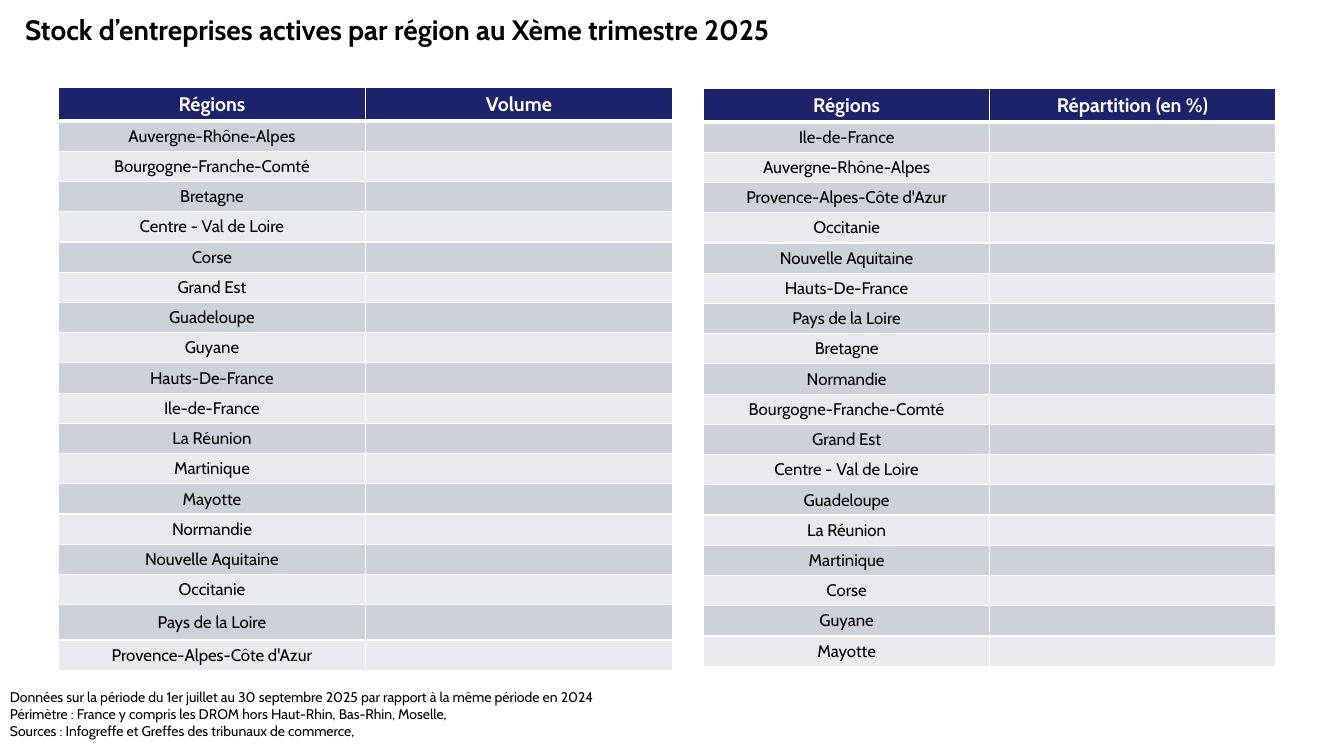
from lxml import etree
from pptx import Presentation
from pptx.dml.color import RGBColor
from pptx.enum.text import MSO_ANCHOR as Anchor, PP_ALIGN as Align
from pptx.oxml.ns import qn
from pptx.util import Inches, Pt

NAVY, WHITE, BLACK = "1C236B", "FFFFFF", "000000"
BANDS = ["CCD2D8", "E8EAED"]


def color(value):
    return RGBColor.from_string(value)


def style(font, size, fill=BLACK, bold=False):
    formats = {"name": "Cabin", "size": Pt(size), "bold": bold}
    for name, value in formats.items():
        setattr(font, name, value)
    font.color.rgb = color(fill)


presentation = Presentation()
presentation.slide_width = Inches(13.33)
presentation.slide_height = Inches(7.5)
slide = presentation.slides.add_slide(presentation.slide_layouts[6])

# Title and footnote
title = ["Stock d’entreprises actives par région au Xème trimestre 2025"]
footnote = [
    "Données sur la période du 1er juillet au 30 septembre 2025 par rapport à la même période en 2024",
    "Périmètre : France y compris les DROM hors Haut-Rhin, Bas-Rhin, Moselle,",
    "Sources : Infogreffe et Greffes des tribunaux de commerce,",
]
text_boxes = [
    (title, (0.15, 0.11, 11.02, 0.41), 20, True, 0.9),
    (footnote, (0, 6.78, 9.73, 0.61), 10, False, 1.0),
]
for lines, place, size, bold, spacing in text_boxes:
    frame = slide.shapes.add_textbox(*map(Inches, place)).text_frame
    frame.word_wrap = True
    for index, line in enumerate(lines):
        paragraph = frame.paragraphs[0] if index == 0 else frame.add_paragraph()
        paragraph.line_spacing = spacing
        run = paragraph.add_run()
        run.text = line
        style(run.font, size, bold=bold)

# Regions in alphabetical order, then by share
regions_by_name = [
    "Auvergne-Rhône-Alpes", "Bourgogne-Franche-Comté", "Bretagne",
    "Centre - Val de Loire", "Corse", "Grand Est", "Guadeloupe", "Guyane",
    "Hauts-De-France", "Ile-de-France", "La Réunion", "Martinique", "Mayotte",
    "Normandie", "Nouvelle Aquitaine", "Occitanie", "Pays de la Loire",
    "Provence-Alpes-Côte d'Azur",
]
regions_by_share = [
    "Ile-de-France", "Auvergne-Rhône-Alpes", "Provence-Alpes-Côte d'Azur",
    "Occitanie", "Nouvelle Aquitaine", "Hauts-De-France", "Pays de la Loire",
    "Bretagne", "Normandie", "Bourgogne-Franche-Comté", "Grand Est",
    "Centre - Val de Loire", "Guadeloupe", "La Réunion", "Martinique",
    "Corse", "Guyane", "Mayotte",
]
HEADER_HEIGHT, ROW_HEIGHT = 0.33, 0.3
heights = [HEADER_HEIGHT] + [ROW_HEIGHT] * len(regions_by_name)
volume_heights = heights.copy()
volume_heights[-2] = 0.35

# Tables
tables = [
    ("Volume", regions_by_name, volume_heights, 0.58, 0.87, 6.09),
    ("Répartition (en %)", regions_by_share, heights, 6.98, 0.88, 5.67),
]
for measure, regions, row_heights, left, top, width in tables:
    rows = [("Régions", measure)] + [(region, "") for region in regions]
    table = slide.shapes.add_table(
        len(rows), 2, Inches(left), Inches(top), Inches(width), Inches(sum(row_heights))
    ).table
    for column in table.columns:
        column.width = Inches(width / 2)
    for row_index, texts in enumerate(rows):
        table.rows[row_index].height = Inches(row_heights[row_index])
        header = row_index == 0
        size = 14 if header else 12
        for column_index, text in enumerate(texts):
            cell = table.cell(row_index, column_index)
            cell.vertical_anchor = Anchor.MIDDLE
            cell.margin_top = cell.margin_bottom = Inches(0.04)
            cell.fill.solid()
            cell.fill.fore_color.rgb = color(NAVY if header else BANDS[(row_index - 1) % 2])
            paragraph = cell.text_frame.paragraphs[0]
            paragraph.alignment = Align.CENTER
            if text:
                run = paragraph.add_run()
                run.text = text
                style(run.font, size, WHITE if header else BLACK, header)
            else:
                # Keep empty cells from growing the row
                etree.SubElement(paragraph._p, qn("a:endParaRPr"), sz=str(size * 100))

            # White borders, thicker around the header's lower edge
            properties = cell._tc.get_or_add_tcPr()
            for position, side in enumerate(["lnL", "lnR", "lnT", "lnB"]):
                thick = (header and side == "lnB") or (row_index == 1 and side == "lnT")
                line = etree.Element(qn(f"a:{side}"), w=str(Pt(3 if thick else 1)))
                fill = etree.SubElement(line, qn("a:solidFill"))
                etree.SubElement(fill, qn("a:srgbClr"), val=WHITE)
                properties.insert(position, line)

presentation.save("out.pptx")
